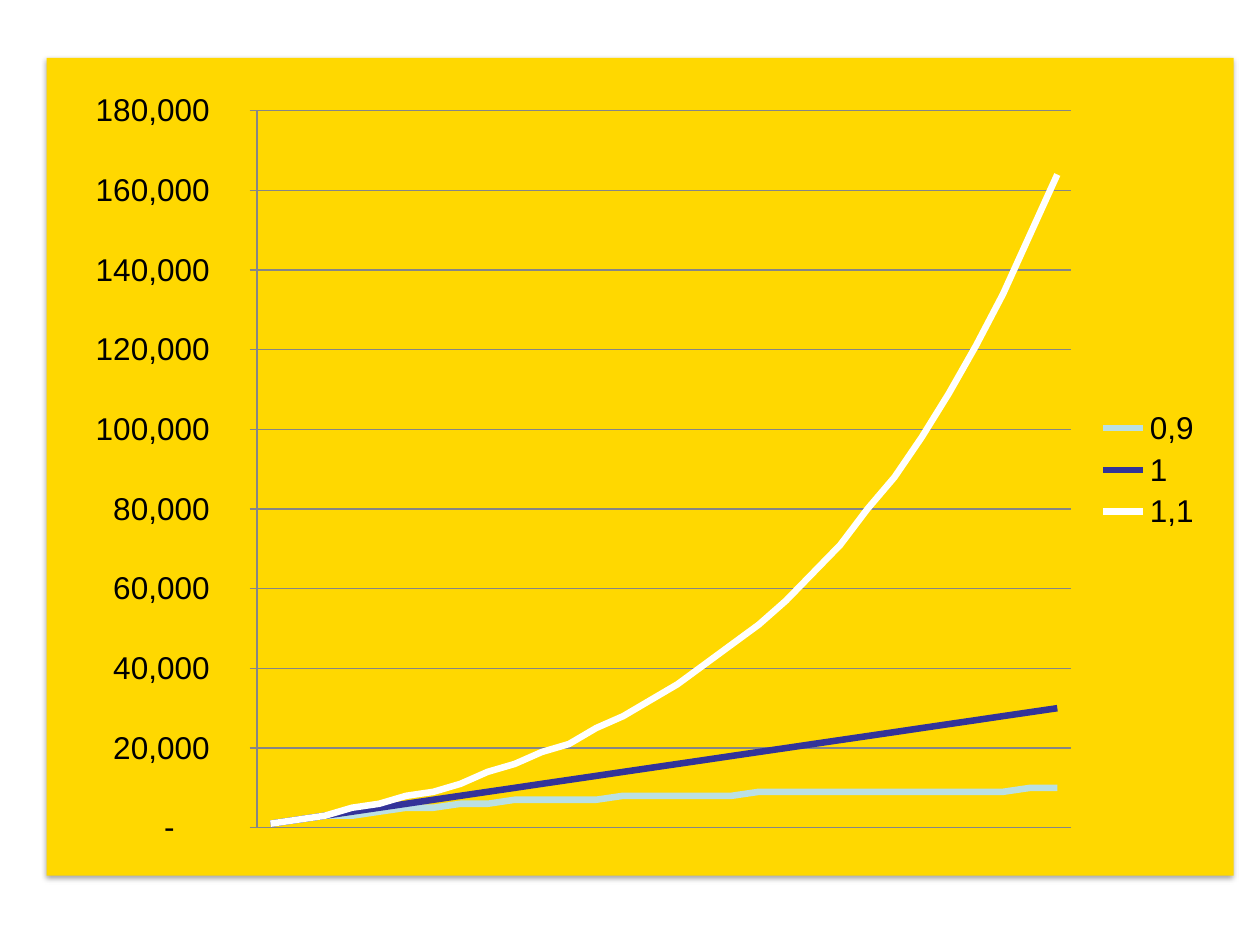
"""Build a slide with a line chart of three growth rates on a yellow panel."""
from dataclasses import dataclass

from lxml import etree
from pptx import Presentation
from pptx.chart import data as cd
from pptx.dml.color import RGBColor
from pptx.enum import chart as ce, shapes
from pptx.oxml import parse_xml
from pptx.oxml.ns import nsdecls, qn
from pptx.util import Inches, Pt

YEARS = range(1, 31)
START = 1000
GRAY = "868686"
FORMAT = r'_-* #,##0\ _€_-;\-* #,##0\ _€_-;_-* "-"??\ _€_-;_-@_-'


@dataclass
class Growth:
    name: str
    rate: float
    color: str

    def totals(self) -> list[int]:
        return [int(round(sum(START * self.rate ** k for k in range(year)), -3))
                for year in YEARS]


@dataclass
class Box:
    left: float
    top: float
    width: float
    height: float

    def lengths(self) -> list[int]:
        return [Inches(n) for n in
                (self.left, self.top, self.width, self.height)]


CURVES = [
    Growth("0,9", 0.9, "BBE0E3"),
    Growth("1", 1, "333399"),
    Growth("1,1", 1.1, "FFFFFF"),
]
PANEL = Box(0.37, 0.46, 9.42, 6.49)
FRAME = Box(0.5, 0.62, 9.14, 6.22)
PLOT = Box(2.04, 0.88, 6.46, 5.69)


def rgb(code: str) -> RGBColor:
    return RGBColor.from_string(code)


def stroke(line, code: str, width: float) -> None:
    line.color.rgb = rgb(code)
    line.width = Pt(width)


def add_panel(slide) -> None:
    panel = slide.shapes.add_shape(
        shapes.MSO_SHAPE.RECTANGLE, *PANEL.lengths())
    panel.fill.solid()
    panel.fill.fore_color.rgb = rgb("FFD800")
    panel.line.fill.background()
    panel.shadow.inherit = False
    effects = panel.element.spPr.find(qn("a:effectLst"))
    effects.append(parse_xml(
        f'<a:outerShdw {nsdecls("a")} blurRad="{Pt(3.1)}" dist="{Pt(1.8)}" '
        'dir="5400000" rotWithShape="0"><a:srgbClr val="000000">'
        '<a:alpha val="35000"/></a:srgbClr></a:outerShdw>'))


def place_plot(chart) -> None:
    area = chart.element.find(".//" + qn("c:plotArea"))
    layout = area.find(qn("c:layout"))
    if layout is None:
        layout = etree.Element(qn("c:layout"))
        area.insert(0, layout)
    manual = etree.SubElement(layout, qn("c:manualLayout"))
    marks = {
        "layoutTarget": "inner", "xMode": "edge", "yMode": "edge",
        "x": (PLOT.left - FRAME.left) / FRAME.width,
        "y": (PLOT.top - FRAME.top) / FRAME.height,
        "w": PLOT.width / FRAME.width,
        "h": PLOT.height / FRAME.height,
    }
    for tag, val in marks.items():
        etree.SubElement(manual, qn("c:" + tag)).set("val", str(val))


def add_graph(slide) -> None:
    data = cd.CategoryChartData(number_format=FORMAT)
    data.categories = [str(year) for year in YEARS]
    for curve in CURVES:
        data.add_series(curve.name, curve.totals())
    chart = slide.shapes.add_chart(
        ce.XL_CHART_TYPE.LINE, *FRAME.lengths(), data).chart
    chart.has_title = False
    chart.font.name = "Arial"
    chart.font.size = Pt(18)
    chart.font.color.rgb = rgb("000000")
    chart.has_legend = True
    chart.legend.position = ce.XL_LEGEND_POSITION.RIGHT
    chart.legend.include_in_layout = False
    chart.category_axis.visible = False

    axis = chart.value_axis
    axis.minimum_scale, axis.maximum_scale = 0, 180000
    axis.major_unit = 20000
    axis.major_tick_mark = ce.XL_TICK_MARK.OUTSIDE
    axis.has_major_gridlines = True
    axis.tick_labels.number_format = FORMAT
    axis.tick_labels.number_format_is_linked = False
    for line in (axis.format.line, axis.major_gridlines.format.line):
        stroke(line, GRAY, 0.75)

    plot = chart.plots[0]
    plot.vary_by_categories = False
    for curve, series in zip(CURVES, plot.series):
        series.smooth = False
        series.marker.style = ce.XL_MARKER_STYLE.NONE
        stroke(series.format.line, curve.color, 3.75)
    place_plot(chart)


def main() -> None:
    deck = Presentation()
    deck.slide_width, deck.slide_height = Inches(10), Inches(7.5)
    slide = deck.slides.add_slide(deck.slide_layouts[6])
    add_panel(slide)
    add_graph(slide)
    deck.save("out.pptx")


main()
